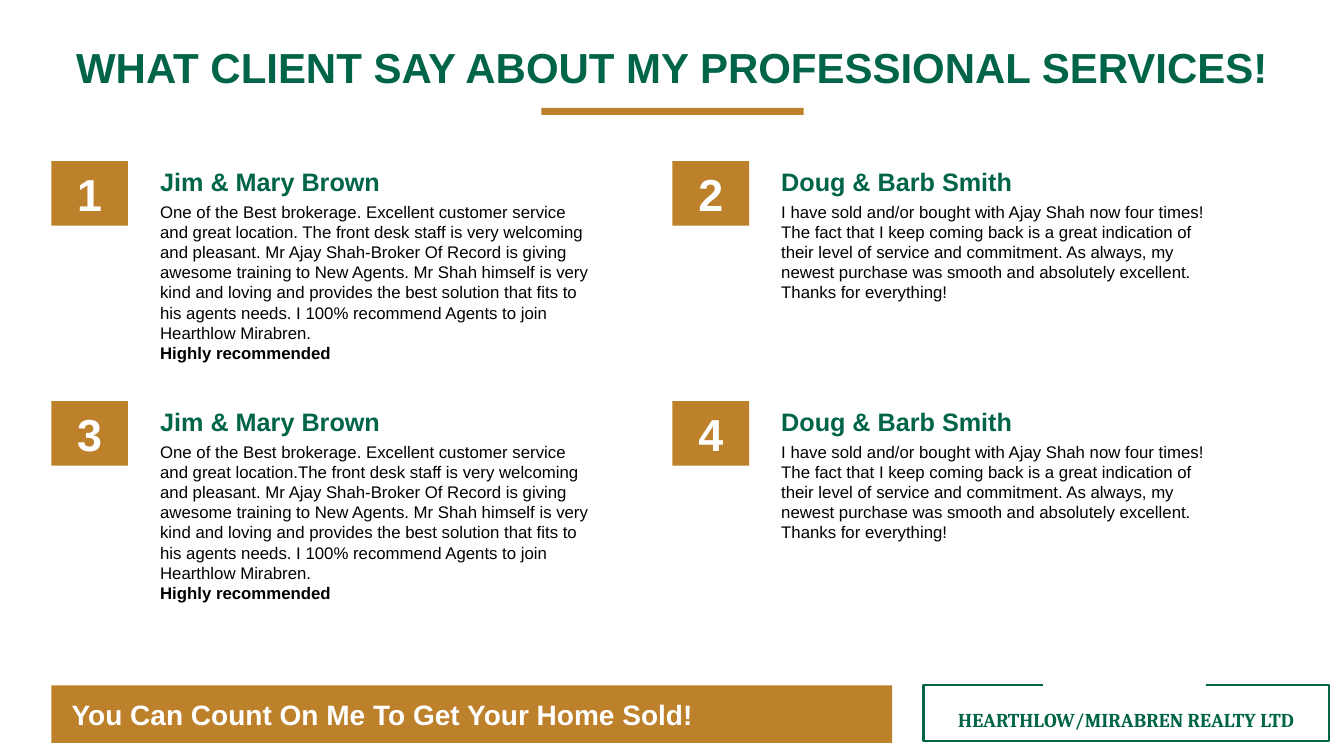
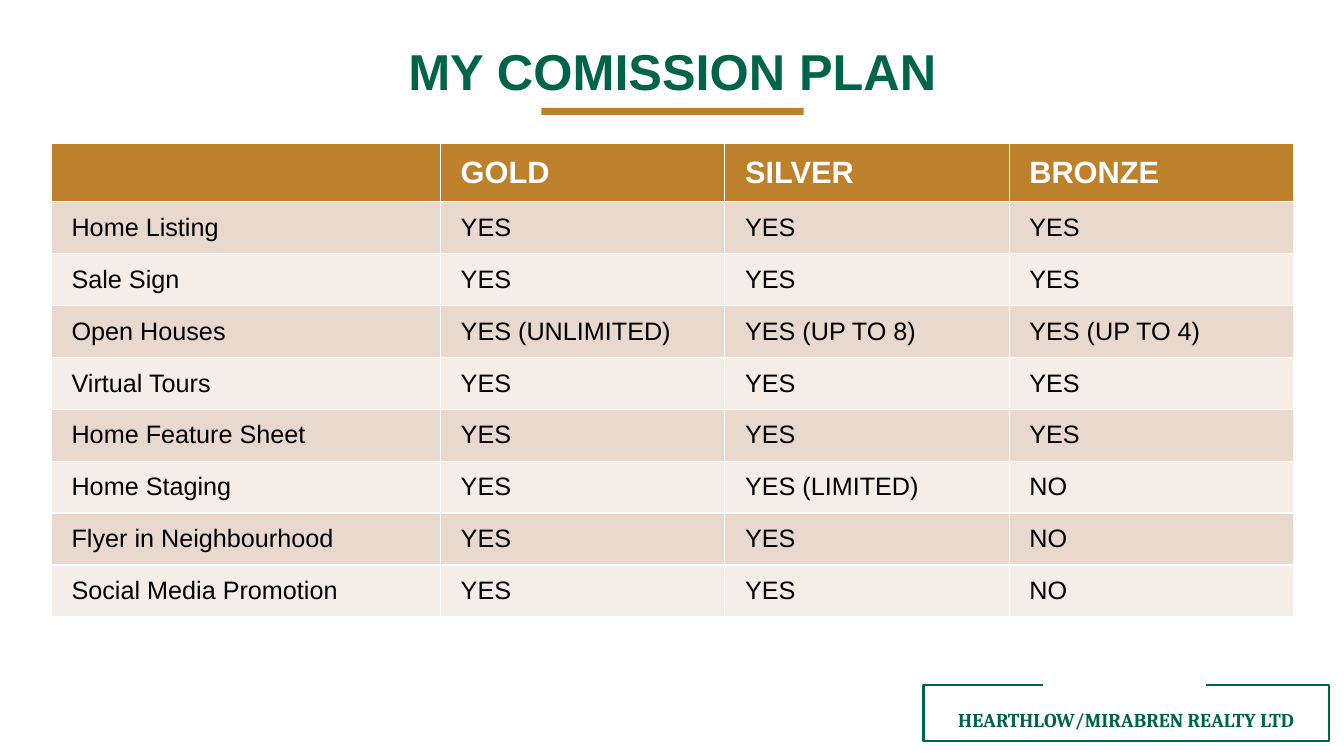
from pptx import Presentation
from pptx import util as u
from pptx.dml.color import RGBColor
from pptx.enum import shapes, text

GREEN = RGBColor(0x00, 0x65, 0x48)
GOLD = RGBColor(0xBD, 0x80, 0x2B)
SAND = RGBColor(0xE8, 0xD8, 0xCD)
CREAM = RGBColor(0xF4, 0xED, 0xE8)
WHITE = RGBColor(0xFF, 0xFF, 0xFF)
BLACK = RGBColor(0x00, 0x00, 0x00)

FORMATS = {
    "wide title": (GREEN, {"name": "Arial", "size": u.Pt(30), "bold": True}),
    "title": (GREEN, {"name": "Arial", "size": u.Pt(36), "bold": True}),
    "company": (GREEN, {"name": "Cambria", "size": u.Pt(14), "bold": True}),
    "number": (WHITE, {"name": "Arial", "size": u.Pt(32), "bold": True}),
    "client": (GREEN, {"name": "Arial", "size": u.Pt(18), "bold": True}),
    "quote": (BLACK, {"name": "Arial", "size": u.Pt(12), "bold": False}),
    "praise": (BLACK, {"name": "Arial", "size": u.Pt(12), "bold": True}),
    "slogan": (WHITE, {"name": "Arial", "size": u.Pt(20), "bold": True}),
    "plan": (WHITE, {"name": "Arial", "size": u.Pt(22), "bold": True}),
    "service": (BLACK, {"name": "Arial", "size": u.Pt(18), "bold": False}),
}
LEFT = 0.51
WIDTH = 12.32
INDENT = u.Inches(0.2)


def write(paragraph, words, format_name, alignment=text.PP_ALIGN.LEFT):
    colour, values = FORMATS[format_name]
    run = paragraph.add_run()
    run.text = words
    run.font.color.rgb = colour
    for attribute, value in values.items():
        setattr(run.font, attribute, value)
    paragraph.alignment = alignment


def add_box(slide, left, top, width, height, fill=None):
    area = [u.Inches(value) for value in (left, top, width, height)]
    if fill is None:
        shape = slide.shapes.add_textbox(*area)
    else:
        shape = slide.shapes.add_shape(shapes.MSO_SHAPE.RECTANGLE, *area)
        shape.shadow.inherit = False
        shape.fill.solid()
        shape.fill.fore_color.rgb = fill
        shape.line.fill.background()
        shape.text_frame.vertical_anchor = text.MSO_ANCHOR.MIDDLE
    shape.text_frame.word_wrap = True
    return shape


presentation = Presentation()
presentation.slide_width = u.Inches(13.33)
presentation.slide_height = u.Inches(7.5)
layout = presentation.slide_layouts.get_by_name("Title Only")
title_area = {"left": LEFT, "top": 0.42, "width": WIDTH, "height": 0.65}
for attribute, value in title_area.items():
    setattr(layout.placeholders[0], attribute, u.Inches(value))

titles = [
    ("WHAT CLIENT SAY ABOUT MY PROFESSIONAL SERVICES!", "wide title"),
    ("MY COMISSION PLAN", "title"),
]
for words, format_name in titles:
    slide = presentation.slides.add_slide(layout)
    frame = slide.shapes.title.text_frame
    frame.auto_size = text.MSO_AUTO_SIZE.NONE
    frame.vertical_anchor = text.MSO_ANCHOR.TOP
    paragraph = frame.paragraphs[0]
    paragraph.line_spacing = 0.9
    paragraph.space_before = u.Pt(10)
    write(paragraph, words, format_name, text.PP_ALIGN.CENTER)
clients_slide, plan_slide = presentation.slides

company = add_box(clients_slide, 9.16, 6.97, 4.02, 0.34)
write(company.text_frame.paragraphs[0], "HEARTHLOW/MIRABREN REALTY LTD", "company", text.PP_ALIGN.CENTER)
outline = [(10.34, 6.8), (9.16, 6.8), (9.16, 7.35), (13.18, 7.35), (13.18, 6.8), (11.96, 6.8)]
points = [(u.Inches(x), u.Inches(y)) for x, y in outline]
builder = clients_slide.shapes.build_freeform(*points[0])
builder.add_line_segments(points[1:], close=False)
frame_line = builder.convert_to_shape()
frame_line.shadow.inherit = False
frame_line.fill.background()
frame_line.line.color.rgb = GREEN
frame_line.line.width = u.Pt(1.5)
title_rule = add_box(clients_slide, 5.37, 1.07, 2.6, 0.07, GOLD)
for shape in (company, frame_line, title_rule):
    layout.shapes.element.append(shape.element)

brown_quote = (
    "One of the Best brokerage. Excellent customer service and great location.{}The front desk staff "
    "is very welcoming and pleasant. Mr Ajay Shah-Broker Of Record is giving awesome training to New "
    "Agents. Mr Shah himself is very kind and loving and provides the best solution that fits to his "
    "agents needs. I 100% recommend Agents to join Hearthlow Mirabren."
)
smith_quote = (
    "I have sold and/or bought with Ajay Shah now four times! The fact that I keep coming back is a "
    "great indication of their level of service and commitment. As always, my newest purchase was "
    "smooth and absolutely excellent. Thanks for everything!"
)
testimonials = [
    ("Jim & Mary Brown", brown_quote.format(" "), "Highly recommended"),
    ("Doug & Barb Smith", smith_quote, None),
    ("Jim & Mary Brown", brown_quote.format(""), "Highly recommended"),
    ("Doug & Barb Smith", smith_quote, None),
]
for index, (client, quote, praise) in enumerate(testimonials):
    row, column = divmod(index, 2)
    left = LEFT + column * 6.16
    top = 1.6 + row * 2.38
    badge = add_box(clients_slide, left, top, 0.76, 0.64, GOLD)
    write(badge.text_frame.paragraphs[0], str(index + 1), "number", text.PP_ALIGN.CENTER)
    heading = add_box(clients_slide, left + 0.98, top, 3.84, 0.4)
    write(heading.text_frame.paragraphs[0], client, "client")
    body = add_box(clients_slide, left + 0.98, top + 0.35, 4.46, 1.72 if praise else 1.11)
    write(body.text_frame.paragraphs[0], quote, "quote")
    if praise:
        write(body.text_frame.add_paragraph(), praise, "praise")

band = add_box(clients_slide, LEFT, 6.8, 8.34, 0.57, GOLD)
band.text_frame.margin_left = INDENT
write(band.text_frame.paragraphs[0], "You Can Count On Me To Get Your Home Sold!", "slogan")

plan_rows = [
    ("", "GOLD", "SILVER", "BRONZE"),
    ("Home Listing", "YES", "YES", "YES"),
    ("Sale Sign", "YES", "YES", "YES"),
    ("Open Houses", "YES (UNLIMITED)", "YES (UP TO 8)", "YES (UP TO 4)"),
    ("Virtual Tours", "YES", "YES", "YES"),
    ("Home Feature Sheet", "YES", "YES", "YES"),
    ("Home Staging", "YES", "YES (LIMITED)", "NO"),
    ("Flyer in Neighbourhood", "YES", "YES", "NO"),
    ("Social Media Promotion", "YES", "YES", "NO"),
]
header_height = 0.58
table_height = 4.7
row_height = (table_height - header_height) / (len(plan_rows) - 1)
table = plan_slide.shapes.add_table(
    len(plan_rows), 4, u.Inches(LEFT), u.Inches(1.42), u.Inches(WIDTH), u.Inches(table_height)
).table
for column, width in zip(table.columns, (3.86, 2.82, 2.82, 2.82)):
    column.width = u.Inches(width)
for row, values in enumerate(plan_rows):
    table.rows[row].height = u.Inches(row_height if row else header_height)
    fill = (CREAM, SAND)[row % 2] if row else GOLD
    for column, words in enumerate(values):
        cell = table.cell(row, column)
        cell.fill.solid()
        cell.fill.fore_color.rgb = fill
        cell.margin_left = INDENT
        cell.vertical_anchor = text.MSO_ANCHOR.MIDDLE
        if words:
            write(cell.text_frame.paragraphs[0], words, "service" if row else "plan")

presentation.save("out.pptx")
